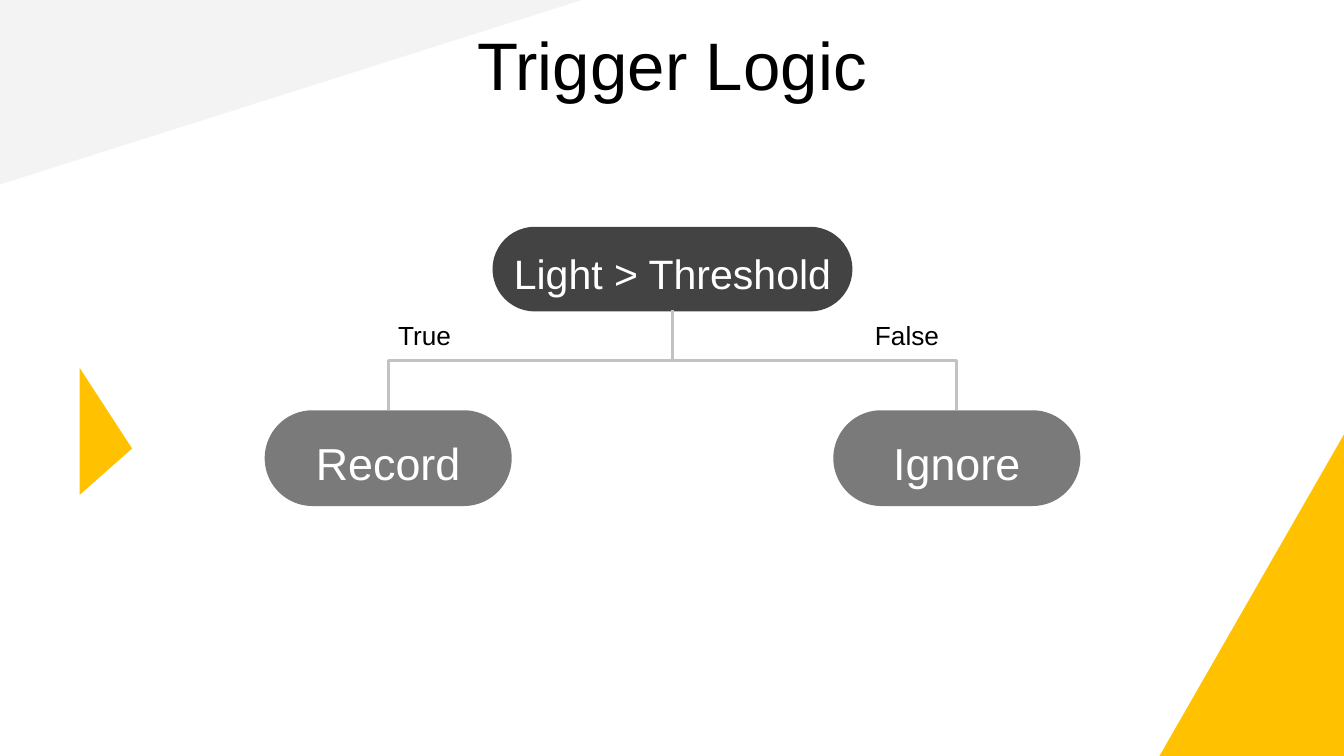
from pptx import Presentation
from pptx.dml.color import RGBColor
from pptx.enum.shapes import MSO_CONNECTOR, MSO_SHAPE
from pptx.enum.text import MSO_ANCHOR, MSO_AUTO_SIZE, PP_ALIGN
from pptx.util import Inches, Pt
from lxml import etree

ELBOW = MSO_CONNECTOR.ELBOW
RIGHT_TRIANGLE = MSO_SHAPE.RIGHT_TRIANGLE
TRIANGLE = MSO_SHAPE.ISOSCELES_TRIANGLE
PILL = MSO_SHAPE.ROUNDED_RECTANGLE
TOP, MIDDLE = MSO_ANCHOR.TOP, MSO_ANCHOR.MIDDLE
NO_AUTOFIT, GROW = MSO_AUTO_SIZE.NONE, MSO_AUTO_SIZE.SHAPE_TO_FIT_TEXT
LEFT, CENTER = PP_ALIGN.LEFT, PP_ALIGN.CENTER

A_NS = "http://schemas.openxmlformats.org/drawingml/2006/main"
YELLOW, BLACK, WHITE = "FFC100", "000000", "FFFFFF"

CENTER_X = 6.67
BRANCH_SPAN = 2.82
ROOT_BOTTOM, BRANCH_TOP = 3.08, 4.07


def color(hex_string):
    return RGBColor.from_string(hex_string)


def set_text(sp, text, size, hex_color, align=CENTER, spacing=1.0):
    p = sp.text_frame.paragraphs[0]
    p.text = text
    p.alignment = align
    p.line_spacing = spacing
    p.font.name = "Arial"
    p.font.size = Pt(size)
    p.font.color.rgb = color(hex_color)


def set_insets(tf, inset):
    tf.margin_left = tf.margin_right = Inches(inset)
    tf.margin_top = tf.margin_bottom = Inches(inset)


def add_filled(s, kind, box, fill):
    sp = s.shapes.add_shape(kind, *map(Inches, box))
    sp.shadow.inherit = False
    sp.fill.solid()
    sp.fill.fore_color.rgb = color(fill)
    sp.line.fill.background()
    return sp


def add_corner(s, kind, box, fill, rotation):
    """Add a decorative triangle behind the title."""
    sp = add_filled(s, kind, box, fill)
    sp.rotation = rotation
    s.shapes._spTree.insert(2, sp._element)
    return sp


def add_title(s, text):
    title = s.shapes.title
    title.left, title.top = Inches(0.76), Inches(0.02)
    title.width, title.height = Inches(11.81), Inches(0.84)
    tf = title.text_frame
    tf.auto_size = NO_AUTOFIT
    tf.vertical_anchor = TOP
    set_insets(tf, 0.13)
    set_text(title, text, 48, BLACK, spacing=1.1)


def add_node(s, text, center_x, top, width, height, fill, size, inset):
    sp = add_filled(s, PILL, (center_x - width / 2, top, width, height), fill)
    sp.adjustments[0] = 0.5
    tf = sp.text_frame
    tf.word_wrap = True
    tf.vertical_anchor = MIDDLE
    set_insets(tf, inset)
    set_text(sp, text, size, WHITE, spacing=1.15)


def add_branch(s, side):
    """Join the root to a branch; side is -1 for left, 1 for right."""
    center_x = CENTER_X + side * BRANCH_SPAN / 2
    center_y = (ROOT_BOTTOM + BRANCH_TOP) / 2
    half_drop = side * (BRANCH_TOP - ROOT_BOTTOM) / 2
    # The elbow is laid out sideways, then turned to leave the root downwards.
    ends = (center_x + half_drop, center_y - BRANCH_SPAN / 2,
            center_x - half_drop, center_y + BRANCH_SPAN / 2)
    line = s.shapes.add_connector(ELBOW, *map(Inches, ends))
    line.line.color.rgb = color("C2C2C2")
    line.line.width = Pt(2.25)
    sp_pr = line._element.spPr
    sp_pr.xfrm.set("rot", str((180 + side * 90) * 60000))
    etree.SubElement(sp_pr, f"{{{A_NS}}}effectLst")


def add_label(s, text, left, width):
    box = s.shapes.add_textbox(Inches(left), Inches(3.12), Inches(width), Inches(0.42))
    box.text_frame.word_wrap = False
    box.text_frame.auto_size = GROW
    set_text(box, text, 18.7, BLACK, LEFT)


def main():
    prs = Presentation()
    prs.slide_width, prs.slide_height = Inches(13.33), Inches(7.5)
    s = prs.slides.add_slide(prs.slide_layouts[5])

    gray = add_corner(s, RIGHT_TRIANGLE, (0, 0, 5.77, 1.83), "F3F3F3", 180)
    gray._element.spPr.xfrm.set("flipH", "1")
    add_corner(s, RIGHT_TRIANGLE, (10.82, 4.99, 3.19, 1.83), YELLOW, 270)
    pointer = add_corner(s, TRIANGLE, (0.42, 4.02, 1.26, 0.52), YELLOW, 90)
    pointer.adjustments[0] = 0.635

    add_title(s, "Trigger Logic")
    add_node(s, "Light > Threshold", CENTER_X, 2.25, 3.57, 0.84, "434343", 29.3, 0)
    for side, action in ((1, "Ignore"), (-1, "Record")):
        add_node(s, action, CENTER_X + side * BRANCH_SPAN, BRANCH_TOP,
                 2.45, 0.95, "7A7A7A", 32, 0.13)
        add_branch(s, side)
    add_label(s, "True", 3.85, 0.74)
    add_label(s, "False", 8.58, 0.84)
    prs.save("out.pptx")


if __name__ == "__main__":
    main()
